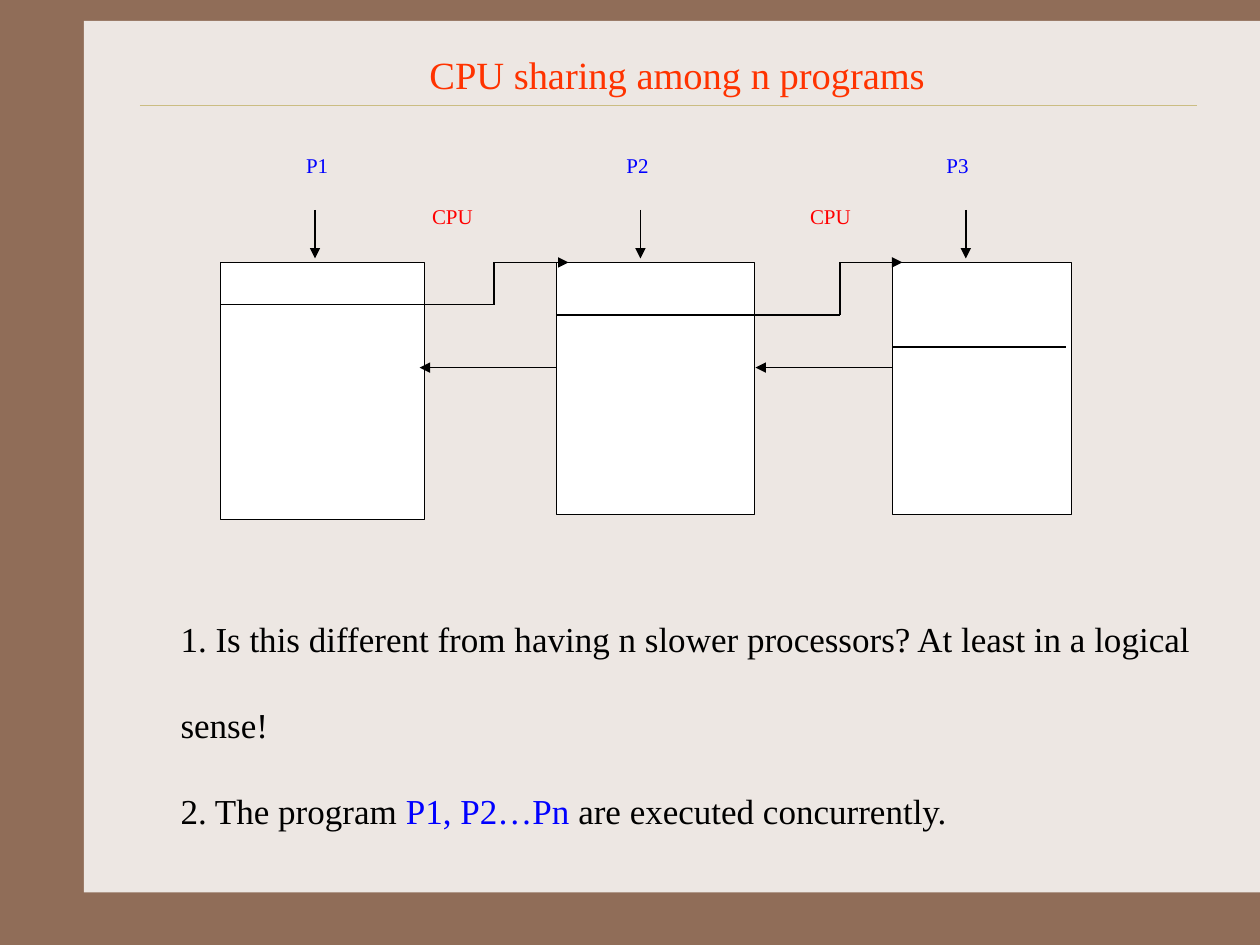
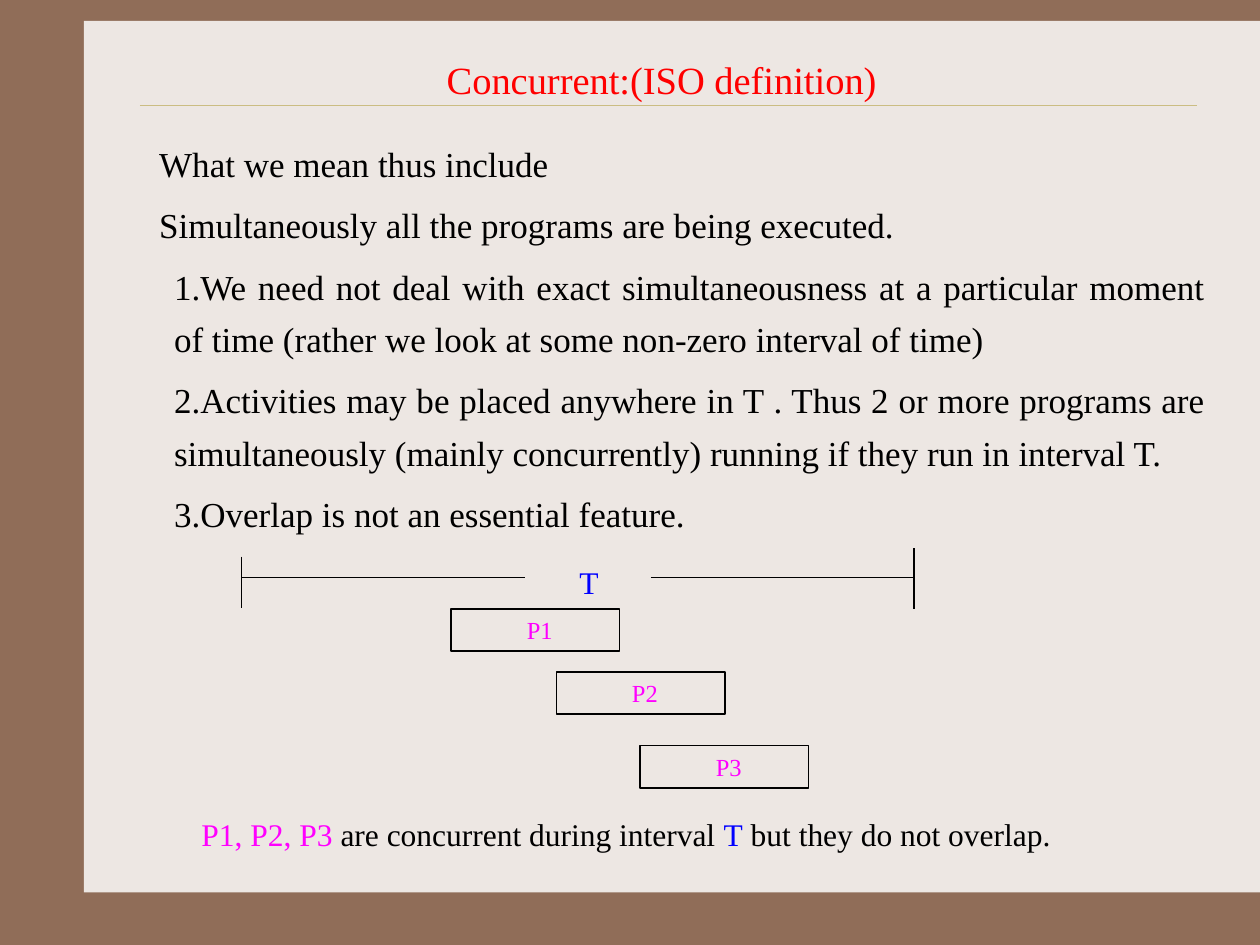
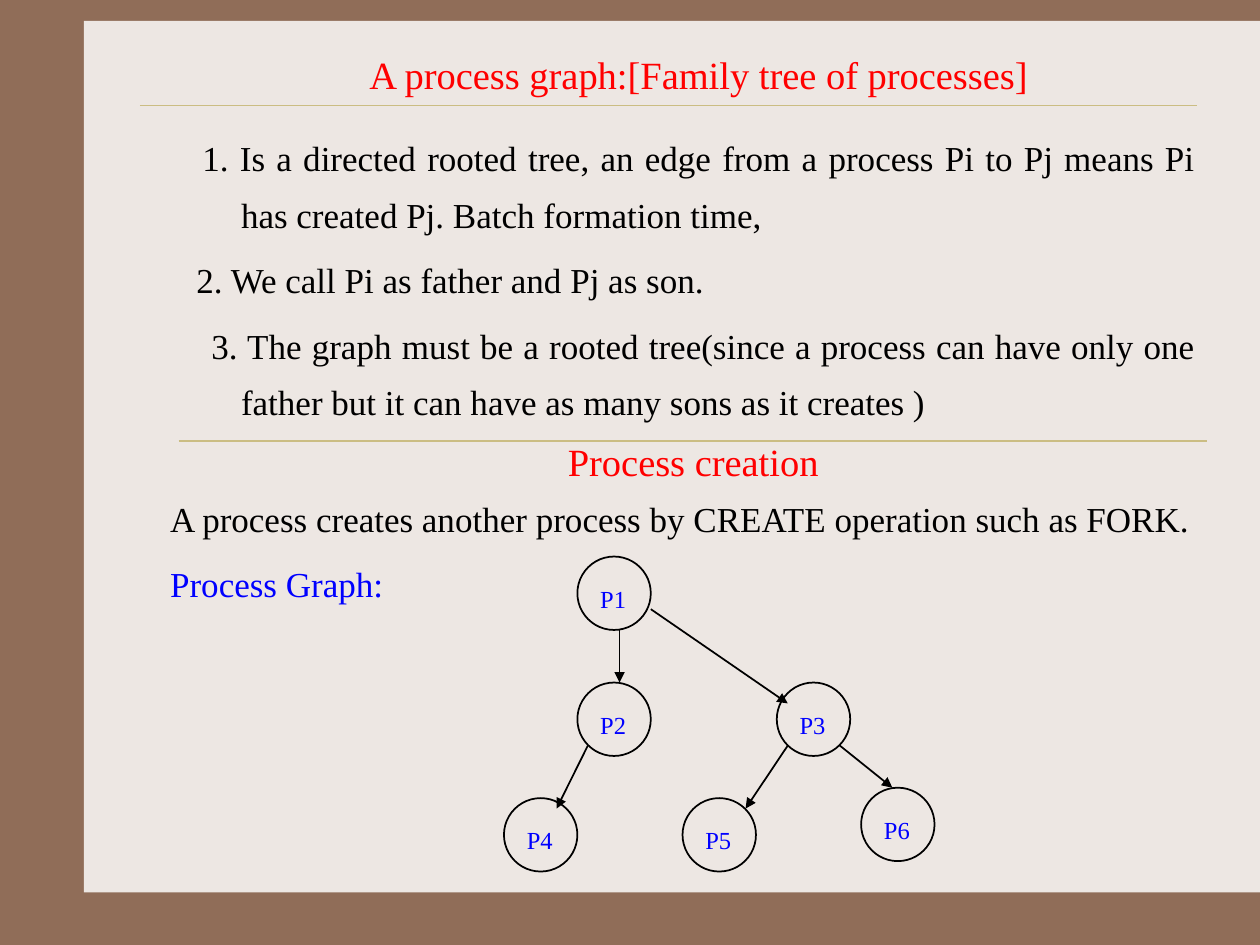
from lxml import etree
from pptx import Presentation
from pptx import util as u
from pptx.dml.color import RGBColor
from pptx.enum import shapes, text
from pptx.oxml.ns import qn

COLORS = {
    "frame": "906D58",
    "panel": "EDE7E3",
    "rule": "CBBD83",
    "black": "000000",
    "white": "FFFFFF",
    "red": "FF0000",
    "orange": "FF3300",
    "blue": "0000FF",
    "magenta": "FF00FF",
}
FONT = "Times New Roman"
JUSTIFY = text.PP_ALIGN.JUSTIFY
CENTER = text.PP_ALIGN.CENTER


def rgb(name):
    return RGBColor.from_string(COLORS[name])


def cm(*values):
    return [u.Cm(v) for v in values]


class Deck:
    def __init__(self):
        self.prs = Presentation()
        self.prs.slide_width, self.prs.slide_height = cm(25.4, 19.05)
        fill = self.prs.slide_master.background.fill
        fill.solid()
        fill.fore_color.rgb = rgb("frame")
        self.s = None

    def slide(self, title, box, color="red"):
        self.s = self.prs.slides.add_slide(self.prs.slide_layouts[6])
        self.shape((1.69, 0.42, 23.71, 17.57), fill="panel", line=None)
        self.line(2.82, 2.12, 24.13, 2.12, "rule", 0.25)
        self.text(box, [self.para(title, color, 22, alignment=CENTER)],
                  text.MSO_ANCHOR.MIDDLE)

    def shape(self, box, kind="RECTANGLE", fill=None, line="black", width=1):
        sp = self.s.shapes.add_shape(shapes.MSO_SHAPE[kind], *cm(*box))
        sp.shadow.inherit = False
        for part, color in ((sp.fill, fill), (sp.line.fill, line)):
            if color:
                part.solid()
                part.fore_color.rgb = rgb(color)
            else:
                part.background()
        if line:
            sp.line.width = u.Pt(width)

    def line(self, x1, y1, x2, y2, color="black", width=1, arrow=False):
        c = self.s.shapes.add_connector(shapes.MSO_CONNECTOR.STRAIGHT, *cm(x1, y1, x2, y2))
        c.line.color.rgb = rgb(color)
        c.line.width = u.Pt(width)
        sp_pr = c._element.spPr
        if arrow:
            etree.SubElement(sp_pr.find(qn("a:ln")), qn("a:tailEnd"), type="triangle")
        etree.SubElement(sp_pr, qn("a:effectLst"))

    def arrow(self, *ends, width=1):
        self.line(*ends, width=width, arrow=True)

    def para(self, runs, color="black", size=20, indent=None, tabs=(), **fmt):
        if isinstance(runs, str):
            runs = [(runs, color)]
        return {"runs": runs, "size": size, "indent": indent, "tabs": tabs, "fmt": fmt}

    def text(self, box, paras, anchor=text.MSO_ANCHOR.TOP):
        tf = self.s.shapes.add_textbox(*cm(*box)).text_frame
        tf.word_wrap = True
        tf.vertical_anchor = anchor
        for i, para in enumerate(paras):
            p = tf.add_paragraph() if i else tf.paragraphs[0]
            for name, value in para["fmt"].items():
                setattr(p, name, value)
            p_pr = p._p.get_or_add_pPr()
            if para["indent"]:
                for name, value in zip(("marL", "indent"), cm(*para["indent"])):
                    p_pr.set(name, str(value))
            if para["tabs"]:
                stops = etree.SubElement(p_pr, qn("a:tabLst"))
                for pos in cm(*para["tabs"]):
                    etree.SubElement(stops, qn("a:tab"), pos=str(pos), algn="l")
            for words, color in para["runs"]:
                r = p.add_run()
                r.text = words
                font = {"name": FONT, "size": u.Pt(para["size"])}
                for name, value in font.items():
                    setattr(r.font, name, value)
                r.font.color.rgb = rgb(color)


def cpu_sharing(d):
    d.slide("CPU sharing among n programs", (7.2, 0.85, 12.9, 1.27), "orange")
    top, pitch = 5.29, 6.77
    programs = [(4.11, 5.18, 6.14, 3.98), (3.99, 5.08, 6.35, 3.98), (3.61, 5.08, 6.99, 3.5)]
    for i, (width, height, cut_y, cut_width) in enumerate(programs):
        left = 4.45 + i * pitch
        d.shape((left, top, width, height), fill="white", width=0.75)
        d.line(left, cut_y, left + cut_width, cut_y)
        entry = 6.35 + i * 6.56
        d.arrow(entry, 4.23, entry, 5.21)
        if i:
            d.arrow(left, 7.41, left - 2.76, 7.41, width=0.75)
    for start, turn, end, y in [(7.83, 9.96, 11.46, 6.14), (14.6, 16.93, 18.19, 6.35)]:
        d.line(start, y, turn, y)
        d.line(turn, y, turn, top)
        d.arrow(turn, top, end, top)
    d.text((5.92, 2.96, 18.5, 1.93), [
        d.para("P1\tP2\tP3", "blue", 12, tabs=(6.46, 12.91)),
        d.para("\tCPU\tCPU", "red", 12, tabs=(2.54, 10.16), space_before=u.Pt(14.5)),
    ])
    d.text((3.39, 11.43, 21.38, 5.46), [
        d.para("1. Is this different from having n slower processors? "
               "At least in a logical sense!", line_spacing=2.05),
        d.para([("2. The program ", "black"), ("P1, P2…Pn", "blue"),
                (" are executed concurrently.", "black")], line_spacing=2.05),
    ])


def concurrent(d):
    d.slide("Concurrent:(ISO definition)", (5.93, 1.06, 14.82, 1.06))
    lines = [
        ("What we mean thus include", -0.3),
        ("Simultaneously all the programs are being executed.", -0.3),
        ("1.We need not deal with exact simultaneousness at a particular moment "
         "of time (rather we look at some non-zero interval of time)", 0),
        ("2.Activities may be placed anywhere in T . Thus 2 or more programs are "
         "simultaneously (mainly concurrently) running if they run in interval T.", 0),
        ("3.Overlap is not an essential feature.", 0),
    ]
    d.text((2.96, 2.54, 21.59, 8.68), [
        d.para(words, indent=(0.3, first), alignment=JUSTIFY, line_spacing=1.25,
               space_before=u.Pt(5)) for words, first in lines])
    start, end, axis = 4.87, 18.42, 11.64
    d.line(start, 11.22, start, 12.25)
    d.line(start, axis, 10.59, axis)
    d.line(13.12, axis, end, axis)
    d.line(end, 11.05, end, 12.28)
    for name, left, top in [("P1", 9.1, 12.28), ("P2", 11.22, 13.55), ("P3", 12.91, 15.03)]:
        d.shape((left, top, 3.39, 0.85))
        d.text((left + 1.27, top, 1.48, 0.86), [d.para(name, "magenta", 14)])
    gap = u.Pt(11.2)
    d.text((3.81, 16.3, 20.53, 1.02), [
        d.para([("P1, P2, P3", "magenta"), (" are concurrent during interval ", "black"),
                ("T", "blue"), (" but they do not overlap.", "black")],
               size=18, space_before=gap)])
    d.text((11.43, 11.22, 1.07, 1.02), [d.para("T", "blue", 18, space_before=gap)])


def process_graph(d):
    d.slide("A process graph:[Family tree of processes]", (5.62, 0.85, 16.93, 1.27))
    rules = [
        ("1. Is a directed rooted tree, an edge from a process Pi to Pj means Pi "
         "has created Pj. Batch formation time,", -0.78),
        ("2. We call Pi as father and Pj as son.", -0.9),
        ("3. The graph must be a rooted tree(since a process can have only one "
         "father but it can have as many sons as it creates )", -0.6),
    ]
    d.text((3.18, 2.33, 21.17, 6.77), [
        d.para(words, indent=(1.43, first), alignment=JUSTIFY, line_spacing=1.35,
               space_before=u.Pt(5)) for words, first in rules])
    d.text((3.18, 8.89, 21.59, 2.13), [
        d.para("Process creation", "red", 22, alignment=CENTER, line_spacing=0.8,
               space_before=u.Pt(13.8)),
        d.para("A process creates another process by CREATE operation such as FORK.",
               line_spacing=0.8, space_before=u.Pt(12.5)),
    ])
    d.line(3.6, 8.89, 24.34, 8.89, "rule")
    d.text((3.18, 11.22, 6.14, 1.12),
           [d.para("Process Graph:", "blue", space_before=u.Pt(12.5))])
    nodes = {
        "P1": (11.64, 11.22), "P2": (11.64, 13.76), "P3": (15.66, 13.76),
        "P4": (10.16, 16.09), "P5": (13.76, 16.09), "P6": (17.36, 15.88),
    }
    for name, (left, top) in nodes.items():
        d.shape((left, top, 1.48, 1.48), "OVAL")
        d.text((left + 0.21, top + 0.42, 1.06, 0.86),
               [d.para(name, "blue", 14, space_before=u.Pt(8.8))])
    edges = [
        (12.49, 12.7, 12.49, 13.76), (13.12, 12.28, 15.88, 14.18),
        (11.85, 15.03, 11.22, 16.3), (15.88, 15.03, 15.03, 16.3),
        (16.93, 15.03, 17.99, 15.88),
    ]
    for edge in edges:
        d.arrow(*edge)


def main():
    d = Deck()
    for build in (cpu_sharing, concurrent, process_graph):
        build(d)
    d.prs.save("out.pptx")


if __name__ == "__main__":
    main()
